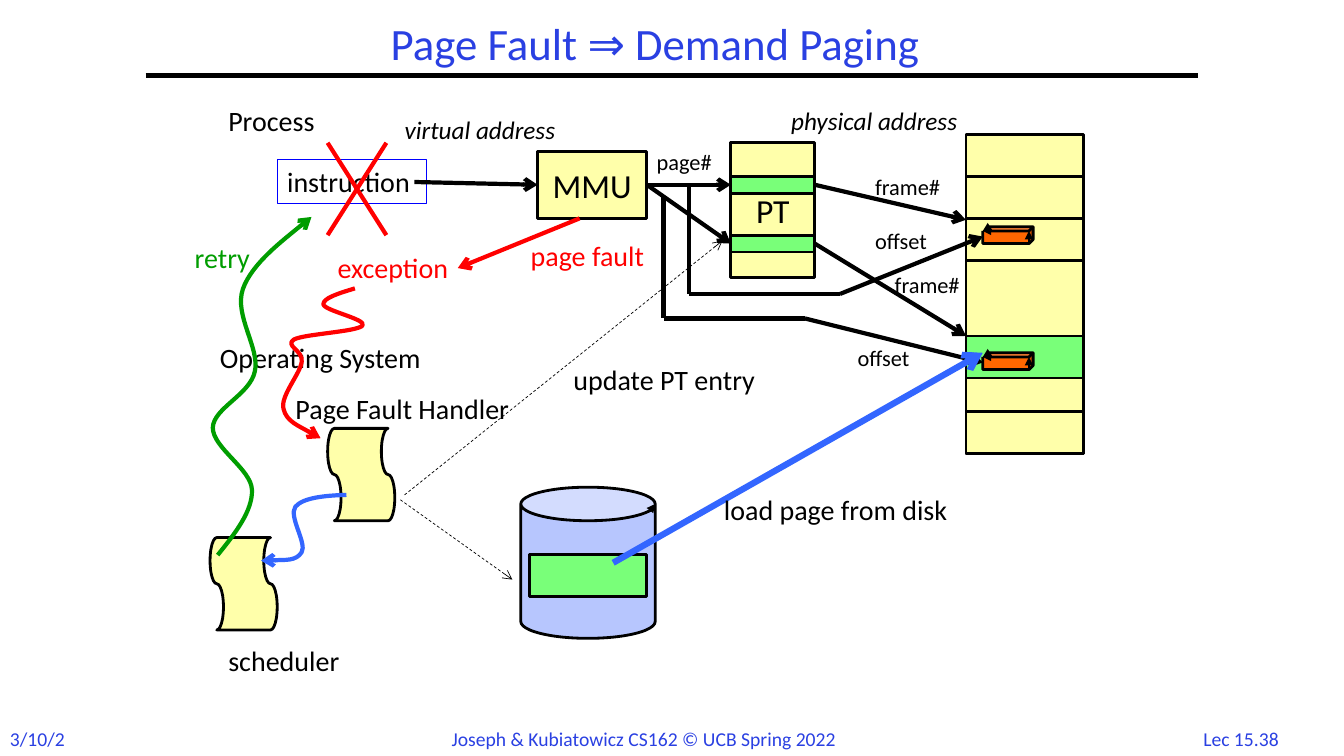
import pptx
import pptx.util
from pptx.dml.color import RGBColor
from pptx.enum.dml import MSO_LINE
from pptx.enum.shapes import MSO_CONNECTOR, MSO_SHAPE
from pptx.enum.text import MSO_ANCHOR, PP_ALIGN
from pptx.oxml.ns import qn
from lxml import etree

Pt = pptx.util.Pt
COLORS = {
    "black": "000000", "title": "2A40E2", "yellow": "FFFFAA", "green": "79FF79",
    "orange": "FF6600", "disk": "B7C6FE", "red": "FF0000", "blue": "3366FF",
    "retry": "009D00", "border": "0000FF",
}


def style_text(tf, text, size, color, align=PP_ALIGN.LEFT, italic=False):
    tf.text = text
    p = tf.paragraphs[0]
    p.alignment = align
    f = p.runs[0].font
    f.name = "Calibri"
    f.size = Pt(size)
    f.italic = italic
    f.color.rgb = RGBColor.from_string(COLORS[color])


def style_line(sp, color, width, end=None, kind="arrow", dashed=False):
    sp.line.color.rgb = RGBColor.from_string(COLORS[color])
    sp.line.width = Pt(width)
    if dashed:
        sp.line.dash_style = MSO_LINE.DASH
    if end:
        ln = sp.element.spPr.find(qn("a:ln"))
        etree.SubElement(ln, qn("a:" + end)).set("type", kind)


prs = pptx.Presentation()
prs.slide_width = Pt(960)
prs.slide_height = Pt(540)
s = prs.slides.add_slide(prs.slide_layouts[5])

title = s.shapes.title
title.left, title.top, title.width, title.height = Pt(174), Pt(12), Pt(588), Pt(42)
style_text(title.text_frame, "Page Fault ⇒ Demand Paging", 32, "title", PP_ALIGN.CENTER)
title.text_frame.vertical_anchor = MSO_ANCHOR.MIDDLE
title.text_frame.paragraphs[0].line_spacing = 0.9

RECT, CUBE = MSO_SHAPE.RECTANGLE, MSO_SHAPE.CUBE
TAPE, CAN = MSO_SHAPE.FLOWCHART_PUNCHED_TAPE, MSO_SHAPE.CAN
shapes = [
    (RECT, 690, 96, 84, 228, "yellow", ""),
    (RECT, 690, 126, 84, 30, "yellow", ""),
    (RECT, 690, 156, 84, 30, "yellow", ""),
    (RECT, 690, 294, 84, 30, "yellow", ""),
    (RECT, 690, 240, 84, 30, "green", ""),
    (RECT, 384, 108, 78, 48, "yellow", "MMU"),
    (RECT, 522, 102, 60, 96, "yellow", "PT"),
    (RECT, 522, 126, 60, 12, "green", ""),
    (RECT, 522, 168, 60, 12, "green", ""),
    (CUBE, 702, 162, 36, 12, "orange", ""),
    (CUBE, 702, 252, 36, 12, "orange", ""),
    (TAPE, 225, 315, 66, 48, "yellow", ""),
    (TAPE, 141, 393, 66, 48, "yellow", ""),
    (CAN, 372, 348, 96, 108, "disk", ""),
    (RECT, 378, 396, 84, 30, "green", ""),
]
for preset, x, y, w, h, fill, text in shapes:
    sp = s.shapes.add_shape(preset, Pt(x), Pt(y), Pt(w), Pt(h))
    sp.shadow.inherit = False
    sp.fill.solid()
    sp.fill.fore_color.rgb = RGBColor.from_string(COLORS[fill])
    style_line(sp, "black", 2, "headEnd", "triangle")
    if preset == TAPE:
        sp.rotation = 90
    if text:
        style_text(sp.text_frame, text, 24, "black", PP_ALIGN.CENTER)
        sp.text_frame.vertical_anchor = MSO_ANCHOR.MIDDLE

instruction = s.shapes.add_shape(RECT, Pt(198), Pt(114), Pt(106.6), Pt(31.7))
instruction.shadow.inherit = False
instruction.fill.background()
style_line(instruction, "border", 0.75)
style_text(instruction.text_frame, "instruction", 20, "black")
instruction.text_frame.word_wrap = False
instruction.text_frame.vertical_anchor = MSO_ANCHOR.TOP

lines = [
    ([(104, 54), (856, 54)], "black", 3, False, False),
    ([(296, 130), (384, 132)], "black", 3, True, False),
    ([(462, 132), (522, 132)], "black", 3, True, False),
    ([(462, 132), (522, 174)], "black", 3, True, False),
    ([(582, 132), (690, 157)], "black", 3, True, False),
    ([(582, 174), (690, 240)], "black", 3, True, False),
    ([(492, 132), (492, 210), (600, 210), (702, 169)], "black", 3, True, False),
    ([(474, 140), (474, 227.5), (575, 227.5), (702, 259)], "black", 3, True, False),
    ([(414, 156), (327, 191.5)], "red", 3, True, False),
    ([(234, 102), (276, 168)], "red", 3, False, False),
    ([(276, 102), (234, 168)], "red", 3, False, False),
    ([(286, 357), (366, 414)], "black", 0.5, True, True),
    ([(289, 353.5), (516, 172)], "black", 0.5, True, True),
    ([(438, 402), (702, 252)], "blue", 4.5, True, False),
]
for points, color, width, arrow, dashed in lines:
    for start, stop in zip(points, points[1:]):
        cn = s.shapes.add_connector(
            MSO_CONNECTOR.STRAIGHT, *[Pt(v) for v in start + stop])
        end = "tailEnd" if arrow and stop == points[-1] else None
        style_line(cn, color, width, end, dashed=dashed)
        etree.SubElement(cn.element.spPr, qn("a:effectLst"))

labels = [
    ("Process", 156, 70.5, 88, 20, "black", False),
    ("virtual address", 282, 78, 132, 18, "black", True),
    ("physical address", 558, 72, 150, 18, "black", True),
    ("page#", 462, 102, 59, 16, "black", False),
    ("frame#", 618, 120, 65, 16, "black", False),
    ("offset", 618, 159, 54, 16, "black", False),
    ("frame#", 632, 190, 65, 16, "black", False),
    ("offset", 605.5, 242.5, 54, 16, "black", False),
    ("page fault", 372, 166.5, 103, 20, "red", False),
    ("exception", 234, 175.5, 101, 20, "red", False),
    ("retry", 132, 168, 56, 20, "retry", False),
    ("Operating System", 150, 240, 176, 20, "black", False),
    ("Page Fault Handler", 204, 276, 189, 20, "black", False),
    ("update PT entry", 402.5, 255.5, 158, 20, "black", False),
    ("load page from disk", 510, 348, 191, 20, "black", False),
    ("scheduler", 156, 456, 102, 20, "black", False),
    ("3/10/22", 0, 515.5, 57.6, 14, "title", False),
    ("Joseph & Kubiatowicz CS162 © UCB Spring 2022", 315.5, 515.5, 297, 14, "title", False),
    ("Lec 15.38", 847.5, 515.5, 78, 14, "title", False),
]
for text, x, y, w, size, color, italic in labels:
    tb = s.shapes.add_textbox(Pt(x), Pt(y), Pt(w), Pt(size * 1.2 + 7.5))
    tb.text_frame.word_wrap = False
    align = PP_ALIGN.CENTER if text.startswith("Lec") else PP_ALIGN.LEFT
    style_text(tb.text_frame, text, size, color, align, italic)

curves = [
    ("red", [(253.5, 206), (242, 209.5), (230.5, 213), (231, 217.5),
             (232, 222), (262, 228), (259, 232.5), (255.5, 237), (217.5, 238.5), (210, 242.5),
             (203, 247), (217, 250.5), (215.5, 258.5), (214.5, 267), (200, 283), (202.5, 292),
             (204.5, 301), (229, 313), (229, 313)]),
    ("blue", [(247.5, 353.5), (232, 354), (216.5, 355.5), (211, 362),
              (206, 369), (219.5, 388), (215.5, 394.5), (211.5, 401), (186.5, 400.5), (186.5, 400.5)]),
    ("retry", [(155.5, 396.5), (168, 381), (180.5, 365), (180, 350),
               (179.5, 335), (152, 320), (152, 305.5), (152.5, 291.5), (178.5, 282), (182, 265.5),
               (186, 249), (167, 225.5), (173.5, 206.5), (180, 188), (222.5, 155), (222.5, 155)]),
]
for color, points in curves:
    (x, y), *rest = [(Pt(a), Pt(b)) for a, b in points]
    fb = s.shapes.build_freeform(x, y)
    fb.add_line_segments(rest, close=False)
    sp = fb.convert_to_shape()
    sp.shadow.inherit = False
    sp.fill.background()
    style_line(sp, color, 3, "tailEnd")
    outline = sp.element.spPr.find(".//" + qn("a:path"))
    segments = outline.findall(qn("a:lnTo"))
    for i in range(0, len(segments), 3):
        bezier = etree.SubElement(outline, qn("a:cubicBezTo"))
        for segment in segments[i:i + 3]:
            bezier.append(segment[0])
            outline.remove(segment)

prs.save("out.pptx")
